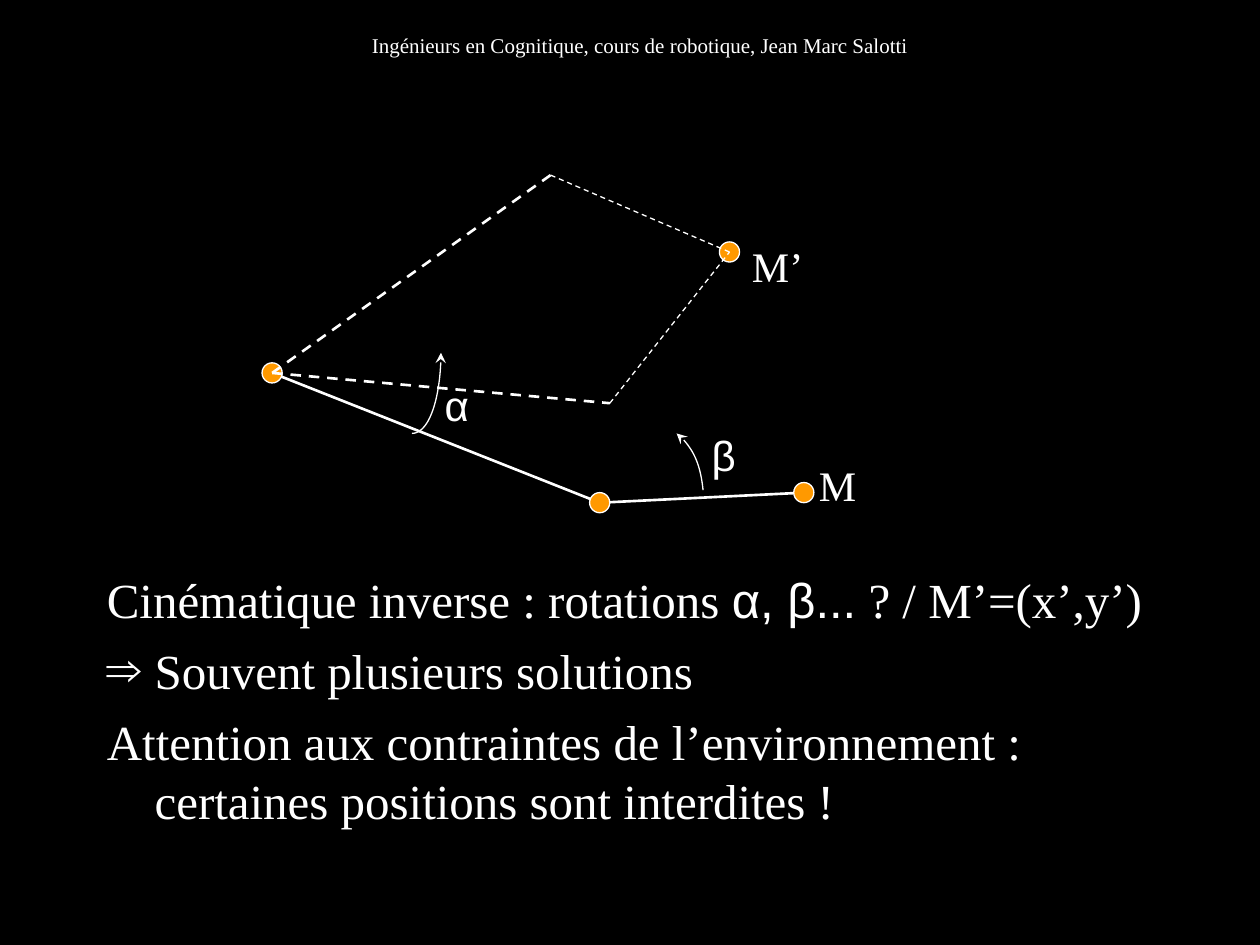
from lxml import etree
from pptx import Presentation
from pptx.dml.color import RGBColor
from pptx.enum.dml import MSO_LINE
from pptx.enum.shapes import MSO_CONNECTOR, MSO_SHAPE
from pptx.enum.text import PP_ALIGN
from pptx.oxml.ns import qn
from pptx.util import Inches, Pt

CENTER, LEFT = PP_ALIGN.CENTER, PP_ALIGN.LEFT
DASH, STRAIGHT, OVAL = MSO_LINE.DASH, MSO_CONNECTOR.STRAIGHT, MSO_SHAPE.OVAL

THEME = {
    "background": RGBColor(0, 0, 0),
    "ink": RGBColor(255, 255, 255),
    "joint": RGBColor(255, 153, 0),
    "serif": "Times New Roman",
    "sans": "Arial",
    "header": 12,
    "label": 24,
    "body": 28,
    "thick": 1.5,
    "thin": 0.75,
}

HEADER = "Ingénieurs en Cognitique, cours de robotique, Jean Marc Salotti"
BODY = [
    {"runs": [("Cinématique inverse : rotations ", "serif"), ("α, β...", "sans"),
              (" ? / M’=(x’,y’)", "serif")]},
    {"runs": [("Souvent plusieurs solutions", "serif")], "bullet": "⇒"},
    {"runs": [("Attention aux contraintes de l’environnement : "
               "certaines positions sont interdites !", "serif")]},
]
LABELS = [
    ("α", "sans", (3.43, 2.96, 0.71, 0.5)),
    ("β", "sans", (5.55, 3.36, 0.38, 0.5)),
    ("M", "serif", (6.4, 3.6, 0.63, 0.5)),
    ("M’", "serif", (5.87, 1.86, 0.63, 0.5)),
]
BASE, ELBOW, HAND, TARGET = (2.16, 2.96), (4.76, 3.99), (6.38, 3.91), (5.79, 2.0)
LOW_ELBOW, HIGH_ELBOW = (4.84, 3.2), (4.37, 1.39)
JOINTS = [HAND, TARGET, BASE, ELBOW]
JOINT_SIZE = 0.16
ARM = [(BASE, ELBOW, "thick"), (ELBOW, HAND, "thick")]
SOLUTIONS = [
    (start, end, weight)
    for elbow in (LOW_ELBOW, HIGH_ELBOW)
    for start, end, weight in ((BASE, elbow, "thick"), (elbow, TARGET, "thin"))
]
ROTATIONS = [
    [(3.27, 3.44), (3.4, 3.44), (3.5, 3.15), (3.5, 2.8)],
    [(5.58, 3.89), (5.56, 3.69), (5.48, 3.52), (5.37, 3.44)],
]


def add_text(slide, paragraphs, box, size, align=LEFT, hanging=0, space=0, wrap=True):
    """Add a text box of paragraphs made of (text, font key) runs."""
    frame = slide.shapes.add_textbox(*map(Inches, box)).text_frame
    frame.word_wrap = wrap
    for index, content in enumerate(paragraphs):
        paragraph = frame.paragraphs[0] if index == 0 else frame.add_paragraph()
        paragraph.alignment = align
        properties = paragraph._p.get_or_add_pPr()
        if hanging:
            properties.set("marL", str(Inches(hanging)))
            properties.set("indent", str(-Inches(hanging)))
        if "bullet" in content:
            font = etree.SubElement(properties, qn("a:buFont"))
            font.set("typeface", THEME["serif"])
            etree.SubElement(properties, qn("a:buChar")).set("char", content["bullet"])
        if index:
            paragraph.space_before = Pt(space)
        for text, font_key in content["runs"]:
            run = paragraph.add_run()
            run.text = text
            run.font.name = THEME[font_key]
            run.font.size = Pt(THEME[size])
            run.font.color.rgb = THEME["ink"]


def set_line(shape, weight, dash=None):
    """Give a shape or connector the common line colour."""
    shape.line.color.rgb = THEME["ink"]
    shape.line.width = Pt(THEME[weight])
    if dash:
        shape.line.dash_style = dash


def add_segments(slide, segments, dash=None):
    """Draw arm segments between pairs of points."""
    for start, end, weight in segments:
        connector = slide.shapes.add_connector(STRAIGHT, *map(Inches, start + end))
        set_line(connector, weight, dash)
        etree.SubElement(connector._element.spPr, qn("a:effectLst"))


def add_rotation(slide, points):
    """Draw a curved arrow from four Bézier points."""
    start, *others = [tuple(map(Inches, point)) for point in points]
    builder = slide.shapes.build_freeform(*start)
    builder.add_line_segments(others, close=False)
    shape = builder.convert_to_shape()
    outline = next(shape._element.iter(qn("a:path")))
    curve = etree.Element(qn("a:cubicBezTo"))
    for segment in outline.findall(qn("a:lnTo")):
        curve.append(segment[0])
        outline.remove(segment)
    outline.append(curve)
    shape.fill.background()
    shape.shadow.inherit = False
    set_line(shape, "thin")
    etree.SubElement(shape.line._get_or_add_ln(), qn("a:tailEnd")).set("type", "stealth")


def add_joint(slide, center):
    """Draw a joint centred on a point."""
    left, top = (value - JOINT_SIZE / 2 for value in center)
    box = (left, top, JOINT_SIZE, JOINT_SIZE)
    shape = slide.shapes.add_shape(OVAL, *map(Inches, box))
    shape.shadow.inherit = False
    shape.fill.solid()
    shape.fill.fore_color.rgb = THEME["joint"]
    set_line(shape, "thin")


def main():
    """Build and save the slide."""
    presentation = Presentation()
    presentation.slide_width, presentation.slide_height = Inches(10), Inches(7.5)
    slide = presentation.slides.add_slide(presentation.slide_layouts[6])
    slide.background.fill.solid()
    slide.background.fill.fore_color.rgb = THEME["background"]

    add_text(slide, [{"runs": [(HEADER, "serif")]}], (2.72, 0.21, 4.72, 0.3),
             "header", align=CENTER)
    add_text(slide, BODY, (0.75, 4.47, 8.5, 2.2), "body", hanging=0.38, space=7)
    add_segments(slide, ARM)
    for points in ROTATIONS:
        add_rotation(slide, points)
    for text, font_key, box in LABELS:
        add_text(slide, [{"runs": [(text, font_key)]}], box, "label")
    for center in JOINTS:
        add_joint(slide, center)
    add_segments(slide, SOLUTIONS, DASH)
    presentation.save("out.pptx")


if __name__ == "__main__":
    main()
